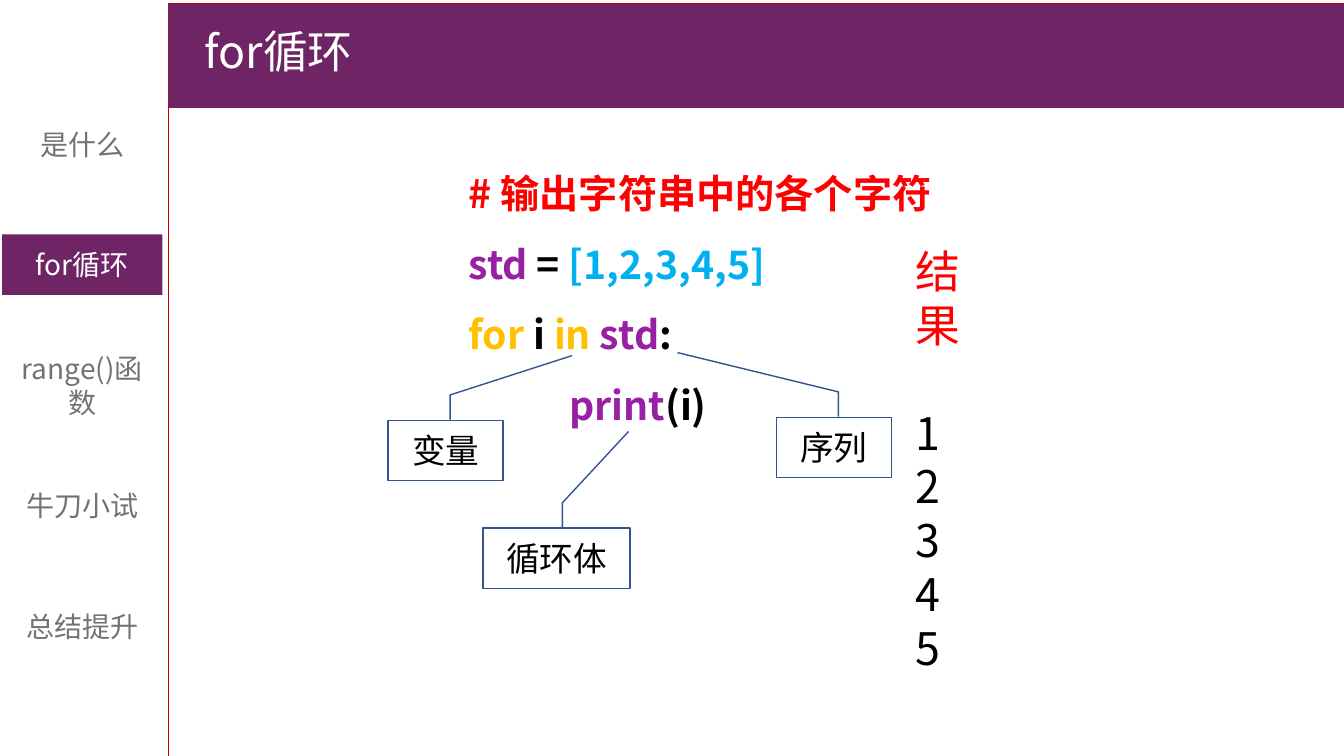
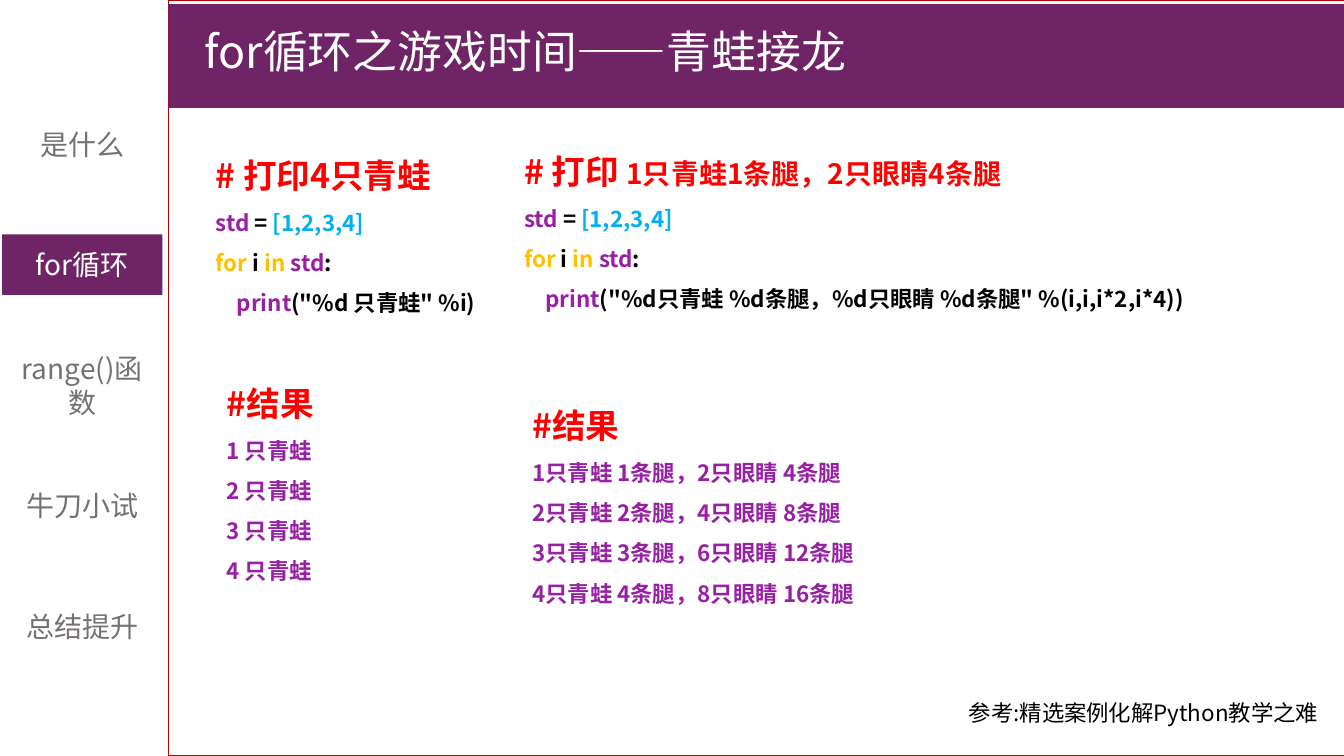
import lxml.etree
import pptx
import pptx.dml.color
import pptx.enum.shapes
import pptx.enum.text
import pptx.oxml.ns
import pptx.util

Inches = pptx.util.Inches
Pt = pptx.util.Pt
SHAPE = pptx.enum.shapes.MSO_SHAPE
CENTER = pptx.enum.text.PP_ALIGN.CENTER
MIDDLE = pptx.enum.text.MSO_ANCHOR.MIDDLE

FONT = "Noto Sans CJK SC"
COLORS = {
    "white": "FFFFFF",
    "black": "000000",
    "plum": "6E2465",
    "grey": "767171",
    "border": "C00000",
    "callout": "325491",
    "heading": "FF0000",
    "name": "9720A4",
    "literal": "00B0F0",
    "keyword": "FFC000",
}
SECTIONS = ["是什么", "for循环", "range()函数", "牛刀小试", "总结提升"]
CURRENT_SECTION = "for循环"
SECTION_TOP = 1.13
SECTION_STEP = (5.91 - SECTION_TOP) / (len(SECTIONS) - 1)
PANEL_LEFT, PANEL_WIDTH = 1.67, 11.75


def rgb(color):
    return pptx.dml.color.RGBColor.from_string(COLORS[color])


def write(frame, text, *, size, color="black", bold=False, align=None,
          spacing=None, before=0, indent=0):
    first = frame.paragraphs[0]
    paragraph = frame.add_paragraph() if first.runs else first
    if align is not None:
        paragraph.alignment = align
    if spacing:
        paragraph.line_spacing = spacing
    if before:
        paragraph.space_before = Pt(before)
    if indent:
        paragraph._p.get_or_add_pPr().set("marL", str(Inches(indent)))
    pieces = [(text, {})] if isinstance(text, str) else text
    for words, changes in pieces:
        run = paragraph.add_run()
        run.text = words
        run.font.name = FONT
        run.font.size = Pt(changes.get("size", size))
        run.font.bold = bold
        run.font.color.rgb = rgb(changes.get("color", color))
        lxml.etree.SubElement(run._r.get_or_add_rPr(),
                              pptx.oxml.ns.qn("a:ea"), typeface=FONT)


def add_box(slide, left, top, width, height, fill, line=None, kind=SHAPE.RECTANGLE):
    box = slide.shapes.add_shape(kind, Inches(left), Inches(top),
                                 Inches(width), Inches(height))
    box.shadow.inherit = False
    box.fill.solid()
    box.fill.fore_color.rgb = rgb(fill)
    if line:
        box.line.color.rgb = rgb(line)
        box.line.width = Pt(1)
    else:
        box.line.fill.background()
    box.text_frame.vertical_anchor = MIDDLE
    return box


def add_frame(slide, left, top, width, height):
    frame = slide.shapes.add_textbox(Inches(left), Inches(top),
                                     Inches(width), Inches(height)).text_frame
    frame.word_wrap = True
    return frame


def add_section(slide, index, section):
    current = section == CURRENT_SECTION
    tab = add_box(slide, 0.02, SECTION_TOP + index * SECTION_STEP, 1.59, 0.6,
                  "plum" if current else "white")
    write(tab.text_frame, section, size=20, align=CENTER,
          color="white" if current else "grey")


def add_lesson_slide(deck, title, panel_top):
    slide = deck.slides.add_slide(deck.slide_layouts[6])
    add_box(slide, PANEL_LEFT, panel_top, PANEL_WIDTH, 7.5, "white", "border")
    add_box(slide, PANEL_LEFT, 0.04, PANEL_WIDTH, 1.03, "plum")
    write(add_frame(slide, 1.93, 0.19, 8.06, 0.64), title, size=32, color="white")
    for index, section in enumerate(SECTIONS):
        add_section(slide, index, section)
    return slide


def add_callout(slide, label, left, top, width, tip_y, tip_x):
    callout = add_box(slide, left, top, width, 0.6, "white", "callout",
                      SHAPE.LINE_CALLOUT_2)
    for index, value in enumerate([-0.01, 0.54, -0.42, 0.54, tip_y, tip_x]):
        callout.adjustments[index] = value
    write(callout.text_frame, label, size=24, align=CENTER)


def add_loop_code(slide, place, heading, values, arguments, heading_size, size, indent):
    frame = add_frame(slide, *place)
    name, literal, keyword = ({"color": c} for c in ("name", "literal", "keyword"))
    write(frame, heading, size=heading_size, color="heading", bold=True, spacing=1.5)
    write(frame, [("std ", name), ("=", {}), (f" {values}", literal)],
          size=size, bold=True, spacing=1.5)
    write(frame, [("for ", keyword), ("i ", {}), ("in ", keyword), ("std", name), (":", {})],
          size=size, bold=True, spacing=1.5)
    write(frame, [("print", name), (arguments, {})],
          size=size, bold=True, spacing=1.5, indent=indent)


def add_results(slide, left, top, rows):
    frame = add_frame(slide, left, top, 4.99, 2.26)
    write(frame, "#结果", size=24, color="heading", bold=True, spacing=1.5)
    for row in rows:
        write(frame, row, size=16, color="name", bold=True, spacing=1.5)


def build_loop_slide(deck):
    slide = add_lesson_slide(deck, "for循环", 0.04)
    add_callout(slide, "序列", 7.7, 4.14, 1.14, -1.07, -0.86)
    add_callout(slide, "变量", 3.85, 4.17, 1.14, -1.07, 1.6)
    add_callout(slide, "循环体", 4.79, 5.24, 1.46, -1.6, 0.99)
    add_loop_code(slide, (4.55, 1.4, 4.99, 2.93), "# 输出字符串中的各个字符",
                  "[1,2,3,4,5]", "(i)", 28, 28, 1)
    output = add_frame(slide, 8.98, 2.37, 0.66, 4.41)
    write(output, "结果", size=32, color="heading")
    for number in range(1, 6):
        write(output, str(number), size=32, before=38.5 if number == 1 else 0)


def build_frog_slide(deck):
    slide = add_lesson_slide(deck, "for循环之游戏时间——青蛙接龙", 0)
    add_loop_code(slide, (2.04, 1.29, 3.09, 1.91), "# 打印4只青蛙",
                  "[1,2,3,4]", '("%d 只青蛙" %i)', 24, 16, 0.21)
    add_results(slide, 2.15, 3.55, [f"{i} 只青蛙" for i in range(1, 5)])
    add_loop_code(slide, (5.1, 1.25, 8.23, 1.92),
                  [("# 打印 ", {}), ("1只青蛙1条腿，2只眼睛4条腿", {"size": 20})],
                  "[1,2,3,4]",
                  '("%d只青蛙 %d条腿，%d只眼睛 %d条腿" %(i,i,i*2,i*4))', 24, 16, 0.21)
    add_results(slide, 5.18, 3.77,
                [f"{i}只青蛙 {i}条腿，{i * 2}只眼睛 {i * 4}条腿" for i in range(1, 5)])
    reference = add_frame(slide, 9.51, 6.89, 3.82, 0.37)
    reference.margin_right = 0
    write(reference, "参考:精选案例化解Python教学之难", size=16)


def main():
    deck = pptx.Presentation()
    deck.slide_width = Inches(13.33)
    deck.slide_height = Inches(7.5)
    build_loop_slide(deck)
    build_frog_slide(deck)
    deck.save("out.pptx")


if __name__ == "__main__":
    main()
